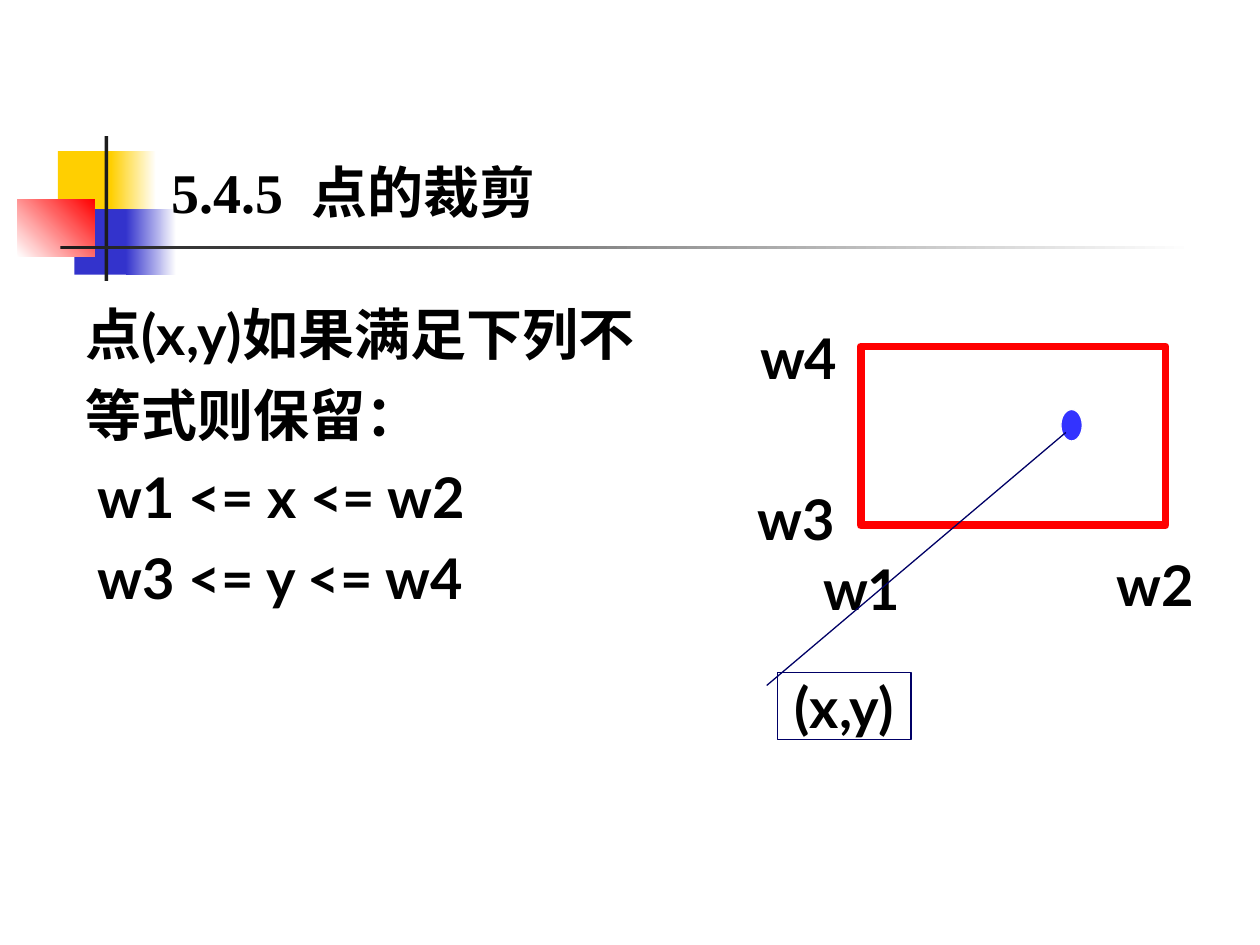
from pptx import Presentation
from pptx.dml.color import RGBColor
from pptx.enum.shapes import MSO_SHAPE as SHAPE
from pptx.enum.text import MSO_ANCHOR as ANCHOR, PP_ALIGN as ALIGN
from pptx.util import Inches, Pt

COLORS = {
    "yellow": "FFCF01", "blue": "3333CC", "red": "FF0000", "ink": "1C1C1C",
    "white": "FFFFFF", "text": "000000", "point": "3333FF", "navy": "000066",
}


def rgb(name):
    """Return the named colour."""
    return RGBColor.from_string(COLORS[name])


def add_shape(s, kind, box, fill=None, line=None, width=0.75, angle=0):
    """Add a shape; a pair of fill names makes a gradient."""
    sp = s.shapes.add_shape(kind, *map(Inches, box))
    sp.shadow.inherit = False
    if fill is None:
        sp.fill.background()
    elif isinstance(fill, tuple):
        sp.fill.gradient()
        sp.fill.gradient_angle = angle
        for stop, name in zip(sp.fill.gradient_stops, fill):
            stop.color.rgb = rgb(name)
    else:
        sp.fill.solid()
        sp.fill.fore_color.rgb = rgb(fill)
    if line:
        sp.line.color.rgb = rgb(line)
        sp.line.width = Pt(width)
    else:
        sp.line.fill.background()
    return sp


def style(font, name="Lato"):
    """Apply the bold slide type."""
    font.name, font.size, font.bold = name, Pt(32), True
    font.color.rgb = rgb("text")


def set_label(sp, text, wrap=False):
    """Centre a short label in a shape without insets."""
    tf = sp.text_frame
    tf.margin_left = tf.margin_right = tf.margin_top = tf.margin_bottom = 0
    tf.vertical_anchor, tf.word_wrap = ANCHOR.MIDDLE, wrap
    p = tf.paragraphs[0]
    p.text, p.alignment = text, ALIGN.CENTER
    style(p.font)


def add_ornament(s, x, y):
    """Draw the colour blocks and crossing rules."""
    blocks = [
        (0.32, 0.12, 0.48, 0.52, "yellow", 0),
        (0.74, 0.12, 0.36, 0.52, ("yellow", "white"), 0),
        (0.45, 0.58, 0.46, 0.52, "blue", 0),
        (0.86, 0.58, 0.4, 0.52, ("blue", "white"), 0),
        (0, 0.5, 0.61, 0.46, ("white", "red"), 45),
        (0.69, 0, 0.03, 1.15, "ink", 0),
        (0.34, 0.87, 9, 0.03, ("ink", "white"), 0),
    ]
    for dx, dy, w, h, fill, angle in blocks:
        add_shape(s, SHAPE.RECTANGLE, (x + dx, y + dy, w, h), fill, angle=angle)


def add_title(s, box, number, title):
    """Write the section number and title."""
    tf = s.shapes.add_textbox(*map(Inches, box)).text_frame
    tf.word_wrap, tf.vertical_anchor = True, ANCHOR.BOTTOM
    p = tf.paragraphs[0]
    p.alignment = ALIGN.JUSTIFY
    for text, font in ((number, "Times New Roman"), (title, "Lato")):
        r = p.add_run()
        r.text = text
        style(r.font, font)


def add_body(s, box, lines):
    """Write the body lines."""
    tf = s.shapes.add_textbox(*map(Inches, box)).text_frame
    tf.word_wrap = True
    for i, line in enumerate(lines):
        p = tf.add_paragraph() if i else tf.paragraphs[0]
        p.text = line
        if i:
            p.space_before = Pt(8)
        style(p.font)


def add_clip_window(s, x, y):
    """Draw the window, its bounds, the point and its callout."""
    add_shape(s, SHAPE.RECTANGLE, (x + 0.83, y + 0.18, 2.42, 1.42), line="red", width=4.5)
    add_shape(s, SHAPE.OVAL, (x + 2.42, y + 0.68, 0.17, 0.25), "point", "white")
    bounds = {"w1": (0.52, 1.83), "w2": (2.85, 1.8), "w3": (0, 1.28), "w4": (0.02, 0)}
    for text, (dx, dy) in bounds.items():
        box = (x + dx, y + dy, 0.64, 0.53)
        set_label(s.shapes.add_textbox(*map(Inches, box)), text)
    callout = add_shape(s, SHAPE.LINE_CALLOUT_1, (x + 0.17, y + 2.77, 1.06, 0.53), line="navy")
    for i, value in enumerate((0.19, -0.08, -3.6, 2.16)):
        callout.adjustments[i] = value
    set_label(callout, "(x,y)", wrap=True)


def main():
    """Build the slide."""
    prs = Presentation()
    prs.slide_width, prs.slide_height = Inches(10), Inches(7.5)
    s = prs.slides.add_slide(prs.slide_layouts[6])
    add_ornament(s, 0.14, 1.08)
    add_title(s, (1.26, 1.07, 3.43, 0.76), "5.4.5  ", "点的裁剪")
    add_body(s, (0.58, 2.33, 4.99, 4.5),
             ["点(x,y)如果满足下列不", "等式则保留：", " w1 <= x <= w2", " w3 <= y <= w4"])
    add_clip_window(s, 6, 2.57)
    prs.save("out.pptx")


if __name__ == "__main__":
    main()
